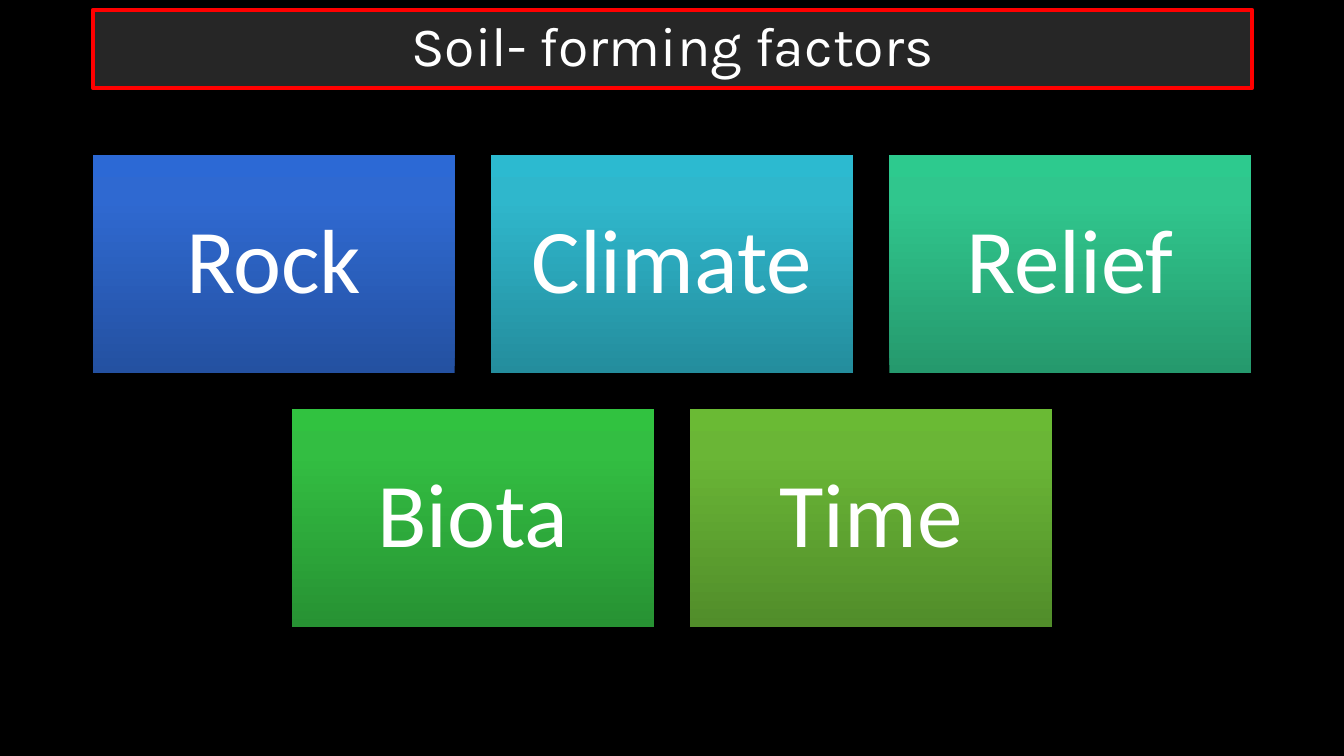
from pptx import Presentation
from pptx.util import Inches, Pt
from pptx.dml.color import RGBColor
from pptx.enum.shapes import MSO_SHAPE
from pptx.enum.text import MSO_ANCHOR, MSO_AUTO_SIZE, PP_ALIGN
from pptx.oxml import parse_xml
from pptx.oxml.ns import nsdecls
from copy import deepcopy

RECT = MSO_SHAPE.RECTANGLE
MIDDLE = MSO_ANCHOR.MIDDLE
CENTER = PP_ALIGN.CENTER
NO_FIT = MSO_AUTO_SIZE.NONE

TITLE = "Soil- forming factors"
# Each factor: name, then gradient colours from bottom to top
ROWS = [
    [("Rock", ("2451A1", "2F69D1", "2C69D5")),
     ("Climate", ("248D9D", "2FB7CC", "2CBAD0")),
     ("Relief", ("25996D", "30C68D", "2DCA8E"))],
    [("Biota", ("279233", "33BE42", "31C240")),
     ("Time", ("518D2A", "6AB636", "6ABA34"))],
]
STOPS = (0, 0.8, 1)

SLIDE_W, SLIDE_H = 13.33, 7.5
BOX_W, BOX_H, GAP, TOP = 3.59, 2.16, 0.36, 1.54
PAD = 0.27


def rgb(color):
    return RGBColor.from_string(color)


def write(tf, text, size, font):
    tf.auto_size = NO_FIT
    tf.word_wrap = True
    tf.vertical_anchor = MIDDLE
    p = tf.paragraphs[0]
    p.alignment = CENTER
    p.line_spacing = 0.9
    r = p.add_run()
    r.text = text
    r.font.size = Pt(size)
    r.font.name = font
    r.font.color.rgb = rgb("FFFFFF")


def fill_gradient(fill, colors):
    fill.gradient()
    fill.gradient_angle = 90
    first = fill.gradient_stops[0]._gs
    first.addnext(deepcopy(first))
    for stop, position, color in zip(fill.gradient_stops, STOPS, colors):
        stop.position = position
        stop.color.rgb = rgb(color)


def add_title(s):
    sp = s.shapes.title
    sp.left, sp.top = Inches(0.92), Inches(0.1)
    sp.width, sp.height = Inches(11.5), Inches(0.77)
    sp._element.spPr.append(parse_xml(
        f'<a:prstGeom {nsdecls("a")} prst="roundRect"><a:avLst>'
        '<a:gd name="adj" fmla="val 2000"/></a:avLst></a:prstGeom>'))
    sp.fill.solid()
    sp.fill.fore_color.rgb = rgb("262626")
    sp.line.color.rgb = rgb("FF0000")
    sp.line.width = Pt(3)
    write(sp.text_frame, TITLE, 39.6, "Karla")


def add_factor(s, name, colors, left, top):
    sp = s.shapes.add_shape(RECT, Inches(left), Inches(top),
                            Inches(BOX_W), Inches(BOX_H))
    sp.shadow.inherit = False
    fill_gradient(sp.fill, colors)
    sp.line.fill.background()
    tf = sp.text_frame
    tf.margin_left = tf.margin_right = Inches(PAD)
    tf.margin_top = tf.margin_bottom = Inches(PAD)
    write(tf, name, 65, "Calibri")


def main():
    prs = Presentation()
    prs.slide_width, prs.slide_height = Inches(SLIDE_W), Inches(SLIDE_H)
    s = prs.slides.add_slide(prs.slide_layouts[5])
    s.background.fill.solid()
    s.background.fill.fore_color.rgb = rgb("000000")

    for i, row in enumerate(ROWS):
        row_w = len(row) * (BOX_W + GAP) - GAP
        for j, (name, colors) in enumerate(row):
            left = (SLIDE_W - row_w) / 2 + j * (BOX_W + GAP)
            add_factor(s, name, colors, left, TOP + i * (BOX_H + GAP))
    add_title(s)
    prs.save("out.pptx")


if __name__ == "__main__":
    main()
